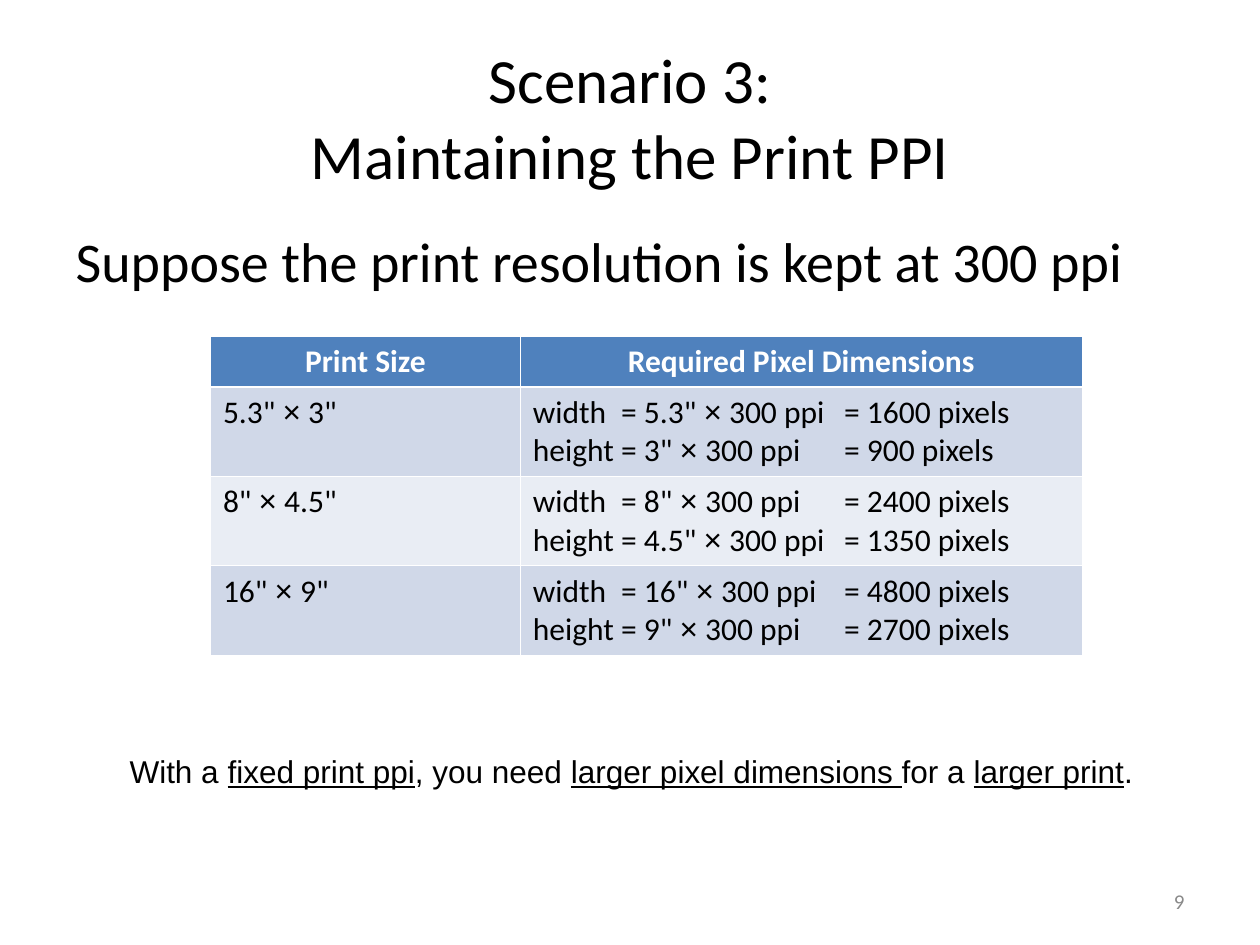
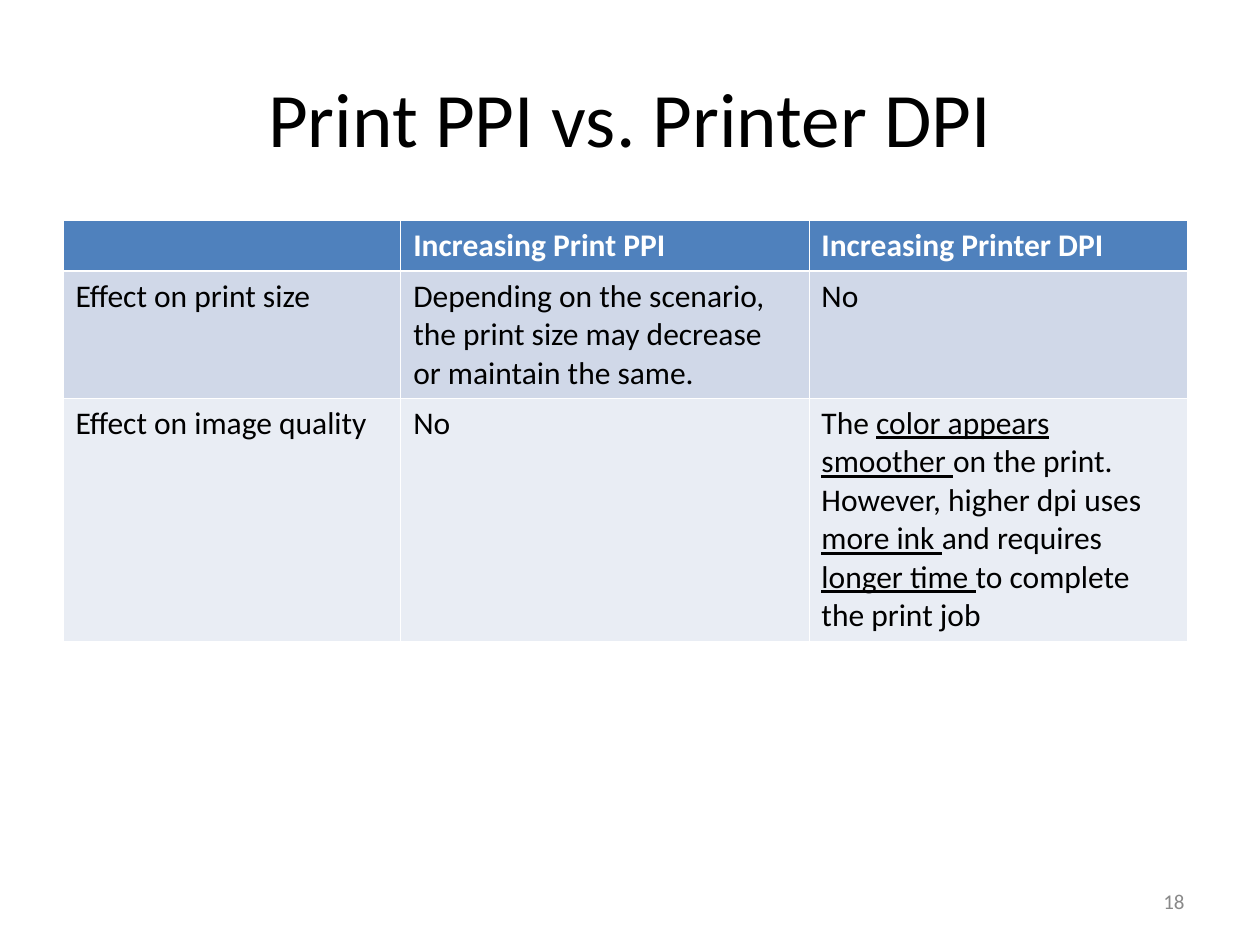
from dataclasses import dataclass
from itertools import groupby

from lxml import etree
from pptx import Presentation
from pptx import util as u
from pptx.dml.color import RGBColor
from pptx.enum import text as t
from pptx.oxml.ns import qn

BLACK = RGBColor(0x00, 0x00, 0x00)
WHITE = RGBColor(0xFF, 0xFF, 0xFF)
HEADER_BLUE = RGBColor(0x4F, 0x81, 0xBD)
BANDS = (RGBColor(0xD0, 0xD8, 0xE8), RGBColor(0xE9, 0xED, 0xF4))
NUMBER_GREY = RGBColor(0x89, 0x89, 0x89)

SLIDE_WIDTH, SLIDE_HEIGHT = u.Inches(10), u.Inches(7.5)
COLUMN, ROW = SLIDE_WIDTH / 100, SLIDE_HEIGHT / 75
THIN, THICK = u.Pt(0.45), u.Pt(1.47)


@dataclass(frozen=True)
class Area:
    """A rectangle in grid columns and rows."""
    left: float
    top: float
    width: float
    height: float

    def lengths(self) -> dict[str, int]:
        return {"left": round(self.left * COLUMN), "top": round(self.top * ROW),
                "width": round(self.width * COLUMN), "height": round(self.height * ROW)}


@dataclass(frozen=True)
class Style:
    size: float
    color: RGBColor = BLACK
    align: t.PP_ALIGN = t.PP_ALIGN.LEFT
    bold: bool = False
    font: str = "Calibri"


@dataclass(frozen=True)
class Grid:
    """A table: its corner, column widths, row heights and cell texts."""
    left: float
    top: float
    columns: tuple[float, ...]
    rows: tuple[float, ...]
    cells: tuple[tuple[str, ...], ...]
    header_align: t.PP_ALIGN = t.PP_ALIGN.LEFT
    tabs: tuple[float, ...] = ()


TITLE_AREA = Area(5, 3, 90, 12.5)
BODY_AREA = Area(5, 17.5, 90, 49.5)
NUMBER_AREA = Area(71.7, 69.5, 23.3, 4)
CONCLUSION_AREA = Area(9.3, 59.2, 81.6, 4)

BODY_STYLE = Style(32)
CELL_STYLE = Style(18)
NUMBER_STYLE = Style(12, NUMBER_GREY, t.PP_ALIGN.RIGHT)
CONCLUSION_STYLE = Style(18, align=t.PP_ALIGN.CENTER, font="Arial")


def apply(target, values: dict) -> None:
    for name, value in values.items():
        setattr(target, name, value)


def write(frame, content: str, style: Style) -> None:
    """Fill a frame: lines become paragraphs, _underscored_ parts are underlined."""
    for index, line in enumerate(content.split("\n")):
        paragraph = frame.add_paragraph() if index else frame.paragraphs[0]
        paragraph.alignment = style.align
        for part, piece in enumerate(line.split("_")):
            for is_times, letters in groupby(piece, lambda letter: letter == "×"):
                run = paragraph.add_run()
                run.text = "".join(letters)
                apply(run.font, {"name": "Arial" if is_times else style.font,
                                 "size": u.Pt(style.size), "bold": style.bold,
                                 "underline": part % 2 == 1})
                run.font.color.rgb = style.color


def add_tabs(paragraph, stops: tuple[float, ...]) -> None:
    tab_list = etree.SubElement(paragraph._p.get_or_add_pPr(), qn("a:tabLst"))
    for stop in stops:
        etree.SubElement(tab_list, qn("a:tab"), pos=str(round(stop * COLUMN)), algn="l")


def border(cell, side: str, width: int) -> None:
    line = etree.SubElement(cell._tc.get_or_add_tcPr(), qn(f"a:ln{side}"), w=str(width))
    fill = etree.SubElement(line, qn("a:solidFill"))
    etree.SubElement(fill, qn("a:srgbClr"), val=str(WHITE))


def add_grid(slide, grid: Grid) -> None:
    area = Area(grid.left, grid.top, sum(grid.columns), sum(grid.rows))
    table = slide.shapes.add_table(len(grid.rows), len(grid.columns),
                                   **area.lengths()).table
    for column, width in zip(table.columns, grid.columns):
        column.width = round(width * COLUMN)
    header_style = Style(18, WHITE, grid.header_align, bold=True)
    for r, (height, texts) in enumerate(zip(grid.rows, grid.cells)):
        table.rows[r].height = round(height * ROW)
        widths = {"L": THIN, "R": THIN, "T": THICK if r == 1 else THIN,
                  "B": THICK if r == 0 else THIN}
        for c, content in enumerate(texts):
            cell = table.cell(r, c)
            for side, width in widths.items():
                border(cell, side, width)
            cell.fill.solid()
            cell.fill.fore_color.rgb = BANDS[(r - 1) % 2] if r else HEADER_BLUE
            write(cell.text_frame, content, CELL_STYLE if r else header_style)
            if "\t" in content:
                for paragraph in cell.text_frame.paragraphs:
                    add_tabs(paragraph, grid.tabs)


def add_text(slide, area: Area, content: str, style: Style, **frame_format) -> None:
    box = slide.shapes.add_textbox(**area.lengths())
    apply(box.text_frame, {"word_wrap": True, **frame_format})
    write(box.text_frame, content, style)


def fill_placeholder(holder, area: Area, content: str, style: Style,
                     anchor: t.MSO_ANCHOR) -> None:
    apply(holder, area.lengths())
    apply(holder.text_frame, {"auto_size": t.MSO_AUTO_SIZE.NONE, "vertical_anchor": anchor})
    write(holder.text_frame, content, style)


def start_slide(deck, layout: int, title: str, title_size: float, number: int):
    slide = deck.slides.add_slide(deck.slide_layouts[layout])
    fill_placeholder(slide.shapes.title, TITLE_AREA, title,
                     Style(title_size, align=t.PP_ALIGN.CENTER), t.MSO_ANCHOR.MIDDLE)
    add_text(slide, NUMBER_AREA, str(number), NUMBER_STYLE,
             vertical_anchor=t.MSO_ANCHOR.MIDDLE)
    return slide


def add_lead(slide, content: str) -> None:
    """Put one unbulleted sentence into the body placeholder."""
    body = slide.placeholders[1]
    paragraph = body.text_frame.paragraphs[0]
    properties = paragraph._p.get_or_add_pPr()
    for name, indent in {"marL": 0.38, "indent": -0.38}.items():
        properties.set(name, str(u.Inches(indent)))
    paragraph.space_before = u.Pt(0)
    etree.SubElement(properties, qn("a:buNone"))
    fill_placeholder(body, BODY_AREA, content, BODY_STYLE, t.MSO_ANCHOR.TOP)


def pixel_row(width: str, height: str, pixels_wide: int, pixels_high: int) -> tuple[str, str]:
    """The print size and the pixels it needs at 300 ppi."""
    return (f'{width}" × {height}"',
            f'width\t= {width}" × 300 ppi\t= {pixels_wide} pixels\n'
            f'height\t= {height}" × 300 ppi\t= {pixels_high} pixels')


PIXELS_GRID = Grid(
    16.7, 26.7, (24.6, 44.6), (4, 7.1, 7.1, 7.1),
    (("Print Size", "Required Pixel Dimensions"),
     pixel_row("5.3", "3", 1600, 900),
     pixel_row("8", "4.5", 2400, 1350),
     pixel_row("16", "9", 4800, 2700)),
    header_align=t.PP_ALIGN.CENTER, tabs=(7, 24.7))

EFFECTS_GRID = Grid(
    5, 17.5, (26.8, 32.4, 30), (4, 10.1, 19.3),
    (("", "Increasing Print PPI", "Increasing Printer DPI"),
     ("Effect on print size",
      "Depending on the scenario, the print size may decrease or maintain the same.",
      "No"),
     ("Effect on image quality",
      "No",
      "The _color appears smoother _on the print. However, higher dpi uses "
      "_more ink _and requires _longer time _to complete the print job")))


def main() -> None:
    deck = Presentation()
    apply(deck, {"slide_width": SLIDE_WIDTH, "slide_height": SLIDE_HEIGHT})

    scenario = start_slide(deck, 1, "Scenario 3:\nMaintaining the Print PPI", 36, 9)
    add_lead(scenario, "Suppose the print resolution is kept at 300 ppi")
    add_grid(scenario, PIXELS_GRID)
    add_text(scenario, CONCLUSION_AREA,
             "With a _fixed print ppi_, you need _larger pixel dimensions _"
             "for a _larger print_.", CONCLUSION_STYLE,
             word_wrap=False, auto_size=t.MSO_AUTO_SIZE.SHAPE_TO_FIT_TEXT)

    comparison = start_slide(deck, 5, "Print PPI vs. Printer DPI", 44, 18)
    add_grid(comparison, EFFECTS_GRID)

    deck.save("out.pptx")


if __name__ == "__main__":
    main()
